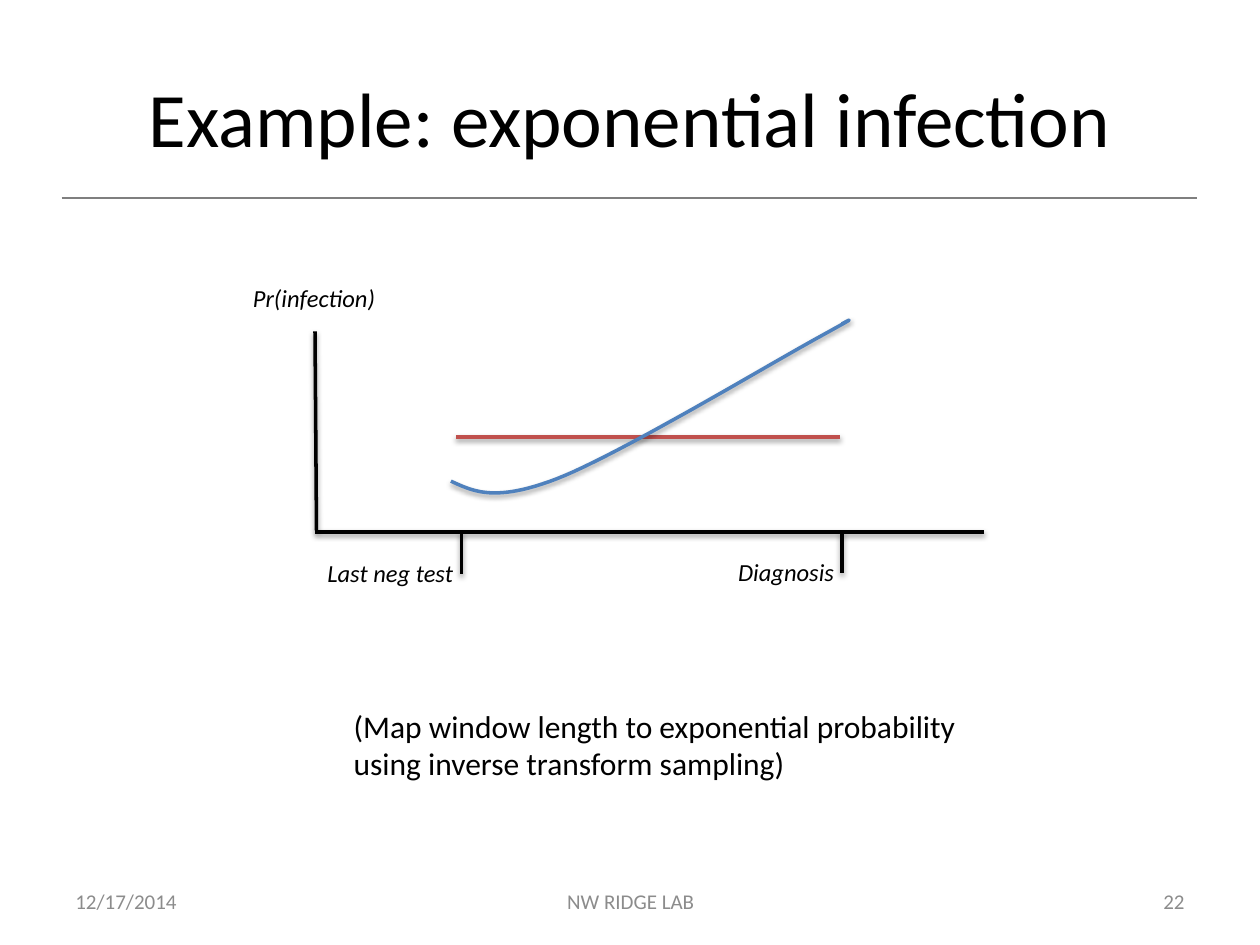
from lxml import etree
from pptx import Presentation
from pptx import util as u
from pptx.dml.color import RGBColor
from pptx.enum import shapes, text
from pptx.oxml.ns import qn

THEME = {
    "font": "Calibri",
    "ink": "000000", "muted": "8C8C8C", "rule": "7F7F7F",
    "constant": "C0504D", "exponential": "4F81BD",
    "title": 44, "note": 18, "label": 14, "footer": 12,
    "rule_width": 0.75, "stroke": 2,
}
LEFT, CENTER, RIGHT = text.PP_ALIGN.LEFT, text.PP_ALIGN.CENTER, text.PP_ALIGN.RIGHT

TITLE = ("Example: exponential infection", (1.27, 0.76, 22.86, 3.18))
NOTE = ("(Map window length to exponential probability using inverse transform sampling)",
        (6.88, 14.12, 13.34, 1.8))
LABELS = [
    ("Pr(infection)", (4.85, 5.59, 6.58, 1.14)),
    ("Last neg test", (6.35, 11.13, 8.2, 1.45)),
    ("Diagnosis", (14.63, 11.1, 6.6, 1.45)),
]
FOOTERS = [
    ("12/17/2014", 1.27, 5.92, LEFT),
    ("NW RIDGE LAB", 8.69, 8.05, CENTER),
    ("22", 18.21, 5.92, RIGHT),
]
FOOTER_TOP, FOOTER_HEIGHT = 17.65, 1.02

BASELINE = 10.72
RULE = (1.24, 3.99, 24.13, 3.99)
AXES = [(6.35, 6.68, 6.38, 10.69), (6.35, BASELINE, 19.84, BASELINE)]
TICKS = [(x, BASELINE, x, bottom) for x, bottom in [(9.3, 11.58), (16.97, 11.56)]]
CONSTANT = (9.19, 8.81, 16.94, 8.81)
CURVE_START = (9.09, 9.7)
CURVE = [
    [(9.55, 9.91), (9.98, 10.13), (11.23, 9.65)],
    [(12.47, 9.17), (15.6, 7.29), (16.54, 6.78)],
    [(17.5, 6.25), (16.97, 6.53), (16.97, 6.53)],
]
CURVE_STEPS = 24


def color(key):
    return RGBColor.from_string(THEME[key])


def cm(values):
    return [u.Cm(value) for value in values]


def set_effects(part, shadow):
    effects = etree.SubElement(part._element.spPr, qn("a:effectLst"))
    if shadow:
        outer = etree.SubElement(effects, qn("a:outerShdw"), blurRad=str(u.Pt(3.1)),
                                 dist=str(u.Pt(1.6)), dir="5400000", rotWithShape="0")
        black = etree.SubElement(outer, qn("a:srgbClr"), val=THEME["ink"])
        etree.SubElement(black, qn("a:alpha"), val="38000")


def stroke(part, ink, width="stroke", shadow=True):
    part.line.color.rgb = color(ink)
    part.line.width = u.Pt(THEME[width])
    set_effects(part, shadow)


def add_line(slide, ends, ink="ink", **style):
    line = slide.shapes.add_connector(shapes.MSO_CONNECTOR.STRAIGHT, *cm(ends))
    stroke(line, ink, **style)


def write(frame, words, size, ink="ink", align=LEFT, italic=False,
          anchor=text.MSO_ANCHOR.TOP):
    frame.word_wrap = True
    frame.auto_size = text.MSO_AUTO_SIZE.NONE
    frame.vertical_anchor = anchor
    paragraph = frame.paragraphs[0]
    paragraph.text = words
    paragraph.alignment = align
    font = paragraph.font
    font.name, font.size, font.italic = THEME["font"], u.Pt(THEME[size]), italic
    font.color.rgb = color(ink)


def add_text(slide, words, box, size, **style):
    write(slide.shapes.add_textbox(*cm(box)).text_frame, words, size, **style)


def bezier(p0, p1, p2, p3):
    for step in range(1, CURVE_STEPS + 1):
        t = step / CURVE_STEPS
        s = 1 - t
        yield tuple(s**3 * a + 3 * s * s * t * b + 3 * s * t * t * c + t**3 * d
                    for a, b, c, d in zip(p0, p1, p2, p3))


def add_curve(slide):
    points, start = [], CURVE_START
    for controls in CURVE:
        points += bezier(start, *controls)
        start = controls[-1]
    builder = slide.shapes.build_freeform(*cm(CURVE_START), scale=1.0)
    builder.add_line_segments([cm(point) for point in points], close=False)
    curve = builder.convert_to_shape()
    curve.fill.background()
    stroke(curve, "exponential")


def main():
    deck = Presentation()
    deck.slide_width, deck.slide_height = u.Cm(25.4), u.Cm(19.05)
    slide = deck.slides.add_slide(deck.slide_layouts[5])
    middle = text.MSO_ANCHOR.MIDDLE

    title = slide.shapes.title
    title.left, title.top, title.width, title.height = cm(TITLE[1])
    write(title.text_frame, TITLE[0], "title", align=CENTER, anchor=middle)
    add_line(slide, RULE, "rule", width="rule_width", shadow=False)

    for words, left, width, align in FOOTERS:
        add_text(slide, words, (left, FOOTER_TOP, width, FOOTER_HEIGHT), "footer",
                 ink="muted", align=align, anchor=middle)

    for ends in AXES + TICKS:
        add_line(slide, ends)
    for words, box in LABELS:
        add_text(slide, words, box, "label", italic=True)

    add_line(slide, CONSTANT, "constant")
    add_curve(slide)
    add_text(slide, *NOTE, "note")
    deck.save("out.pptx")


if __name__ == "__main__":
    main()
